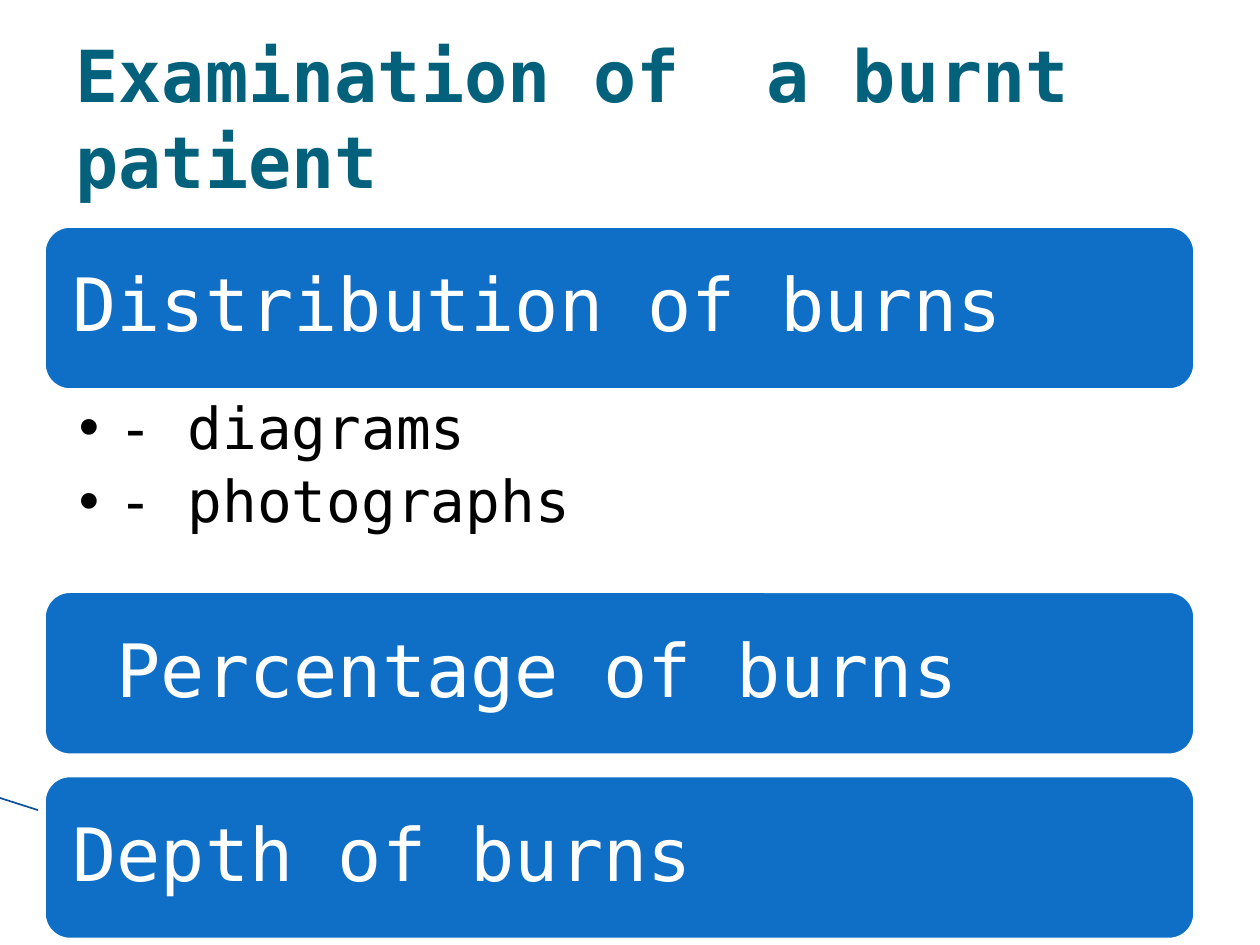
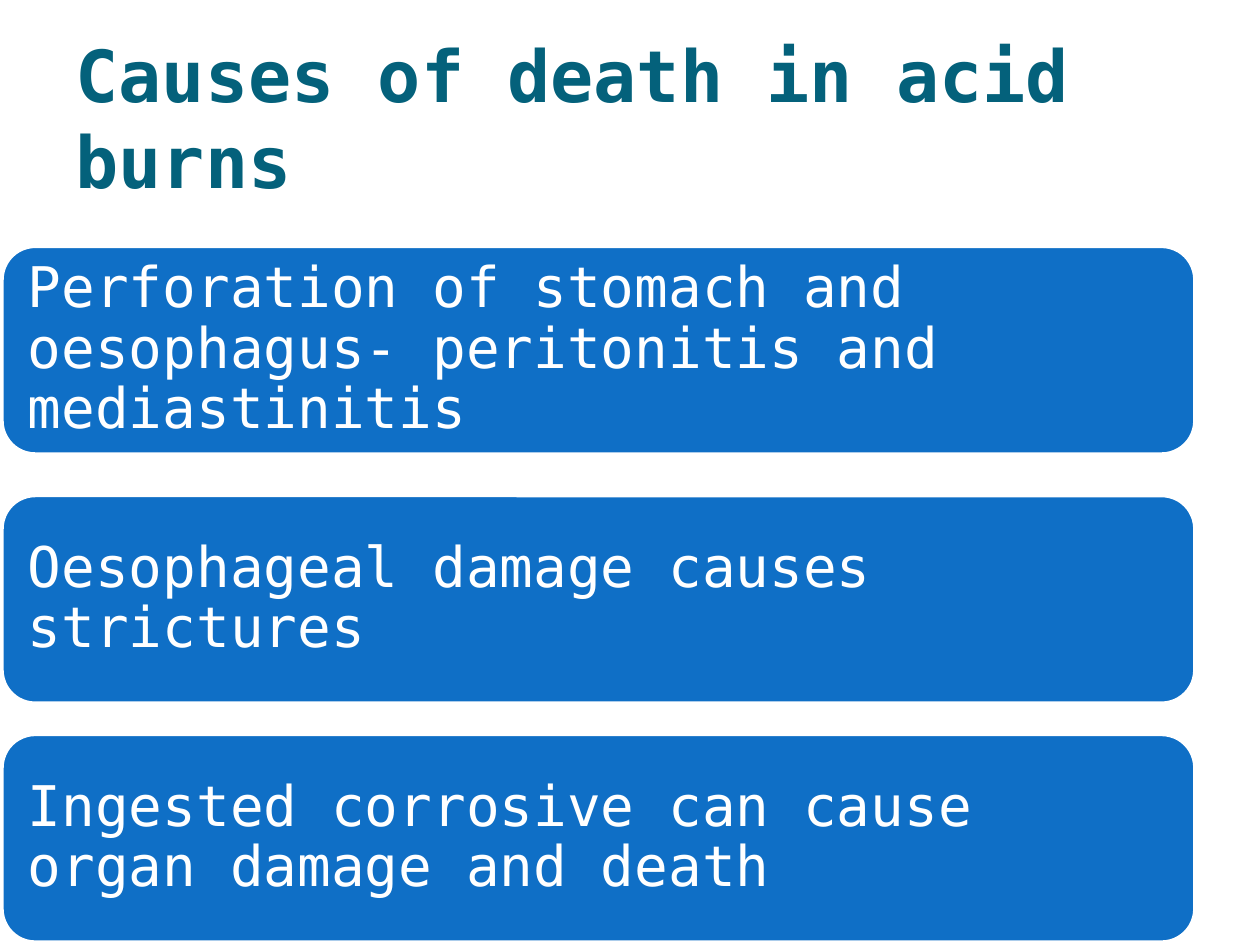
import pptx
import pptx.util
import pptx.dml.color
import pptx.enum.shapes
import pptx.enum.text
import pptx.oxml
import pptx.oxml.ns

Pt = pptx.util.Pt
RGBColor = pptx.dml.color.RGBColor
MIDDLE = pptx.enum.text.MSO_ANCHOR.MIDDLE
LEFT = pptx.enum.text.PP_ALIGN.LEFT
NO_FIT = pptx.enum.text.MSO_AUTO_SIZE.NONE

FONT = "DejaVu Sans Mono"
TEAL = RGBColor(0x04, 0x61, 0x7B)
BLUE = RGBColor(0x0F, 0x6F, 0xC6)
NAVY = RGBColor(0x0B, 0x4F, 0x96)
WHITE = RGBColor(0xFF, 0xFF, 0xFF)
BLACK = RGBColor(0, 0, 0)

LIST_LAYOUT, TITLE_LAYOUT = 1, 5
BAND_RIGHT = 684

EXAMINATION = {
    "title": "Examination of  a burnt patient",
    "layout": LIST_LAYOUT,
    "left": 24, "top": 128, "height": 96, "size": 42, "inset": 12.6,
    "accent": ((0, 456), (263, 540)),
    "bands": [
        {"text": "Distribution of burns", "gap": 112.7,
         "list": ["- diagrams", "- photographs"]},
        {"text": "Percentage of burns", "gap": 9.3, "indent": 25.3},
        {"text": "Depth of burns", "gap": 0},
    ],
}
ACID_DEATHS = {
    "title": "Causes of death in acid burns",
    "layout": TITLE_LAYOUT,
    "left": 0, "top": 139.6, "height": 121, "size": 32, "inset": 10,
    "bands": [
        {"text": "Perforation of stomach and oesophagus- peritonitis and mediastinitis",
         "gap": 21.4},
        {"text": "Oesophageal damage causes strictures", "gap": 15.5},
        {"text": "Ingested corrosive can cause organ damage and death", "gap": 0},
    ],
}


def place(sp, left, top, width, height):
    sp.left, sp.top, sp.width, sp.height = Pt(left), Pt(top), Pt(width), Pt(height)


def set_margins(tf, left, top, right, bottom):
    tf.margin_left, tf.margin_top = Pt(left), Pt(top)
    tf.margin_right, tf.margin_bottom = Pt(right), Pt(bottom)


def add_text(p, text, size, color, bold=False):
    p.alignment = LEFT
    p.space_before = Pt(0)
    r = p.add_run()
    r.text = text
    r.font.name, r.font.size, r.font.bold = FONT, Pt(size), bold
    r.font.color.rgb = color


def set_indent(p, margin, first):
    pPr = p._p.get_or_add_pPr()
    pPr.set("marL", str(Pt(margin)))
    pPr.set("indent", str(Pt(first)))
    return pPr


def add_title(s, text):
    sp = s.shapes.title
    place(sp, 36, 21.6, 648, 90)
    tf = sp.text_frame
    tf.word_wrap, tf.auto_size, tf.vertical_anchor = True, NO_FIT, MIDDLE
    add_text(tf.paragraphs[0], text, 41, TEAL, True)


def add_accent(s, start, end):
    line = s.shapes.add_connector(
        pptx.enum.shapes.MSO_CONNECTOR.STRAIGHT, *map(Pt, start + end))
    line.line.color.rgb, line.line.width = NAVY, Pt(0.95)
    line._element.spPr.append(pptx.oxml.parse_xml(
        "<a:effectLst %s/>" % pptx.oxml.ns.nsdecls("a")))


def add_band(s, band, left, top, height, size, inset):
    sp = s.shapes.add_shape(
        pptx.enum.shapes.MSO_SHAPE.ROUNDED_RECTANGLE,
        Pt(left), Pt(top), Pt(BAND_RIGHT - left), Pt(height))
    sp.shadow.inherit = False
    sp.fill.solid()
    sp.fill.fore_color.rgb = BLUE
    sp.line.color.rgb, sp.line.width = WHITE, Pt(4.33)
    tf = sp.text_frame
    tf.word_wrap, tf.vertical_anchor = True, MIDDLE
    set_margins(tf, inset, inset, inset, inset)
    p = tf.paragraphs[0]
    if "indent" in band:
        set_indent(p, band["indent"], 0)
    p.line_spacing = 0.9
    add_text(p, band["text"], size, WHITE)


def add_list(s, items, left, top, height):
    sp = s.placeholders[1]
    place(sp, left, top, BAND_RIGHT - left, height)
    tf = sp.text_frame
    tf.word_wrap, tf.auto_size = True, NO_FIT
    set_margins(tf, 21, 4.2, 23.5, 4.2)
    for i, item in enumerate(items):
        p = tf.add_paragraph() if i else tf.paragraphs[0]
        pPr = set_indent(p, 22.5, -22.8)
        pPr.append(pptx.oxml.parse_xml(
            '<a:buChar %s char="•"/>' % pptx.oxml.ns.nsdecls("a")))
        p.line_spacing, p.space_after = 0.9, Pt(6.2)
        add_text(p, item, 33, BLACK)


def build_slide(prs, content):
    s = prs.slides.add_slide(prs.slide_layouts[content["layout"]])
    add_title(s, content["title"])
    if "accent" in content:
        add_accent(s, *content["accent"])
    left, top, height = content["left"], content["top"], content["height"]
    for band in content["bands"]:
        add_band(s, band, left, top, height, content["size"], content["inset"])
        top += height
        if "list" in band:
            add_list(s, band["list"], left, top, band["gap"])
        top += band["gap"]


def main():
    prs = pptx.Presentation()
    prs.slide_width, prs.slide_height = Pt(720), Pt(540)
    for content in (EXAMINATION, ACID_DEATHS):
        build_slide(prs, content)
    prs.save("out.pptx")


if __name__ == "__main__":
    main()
